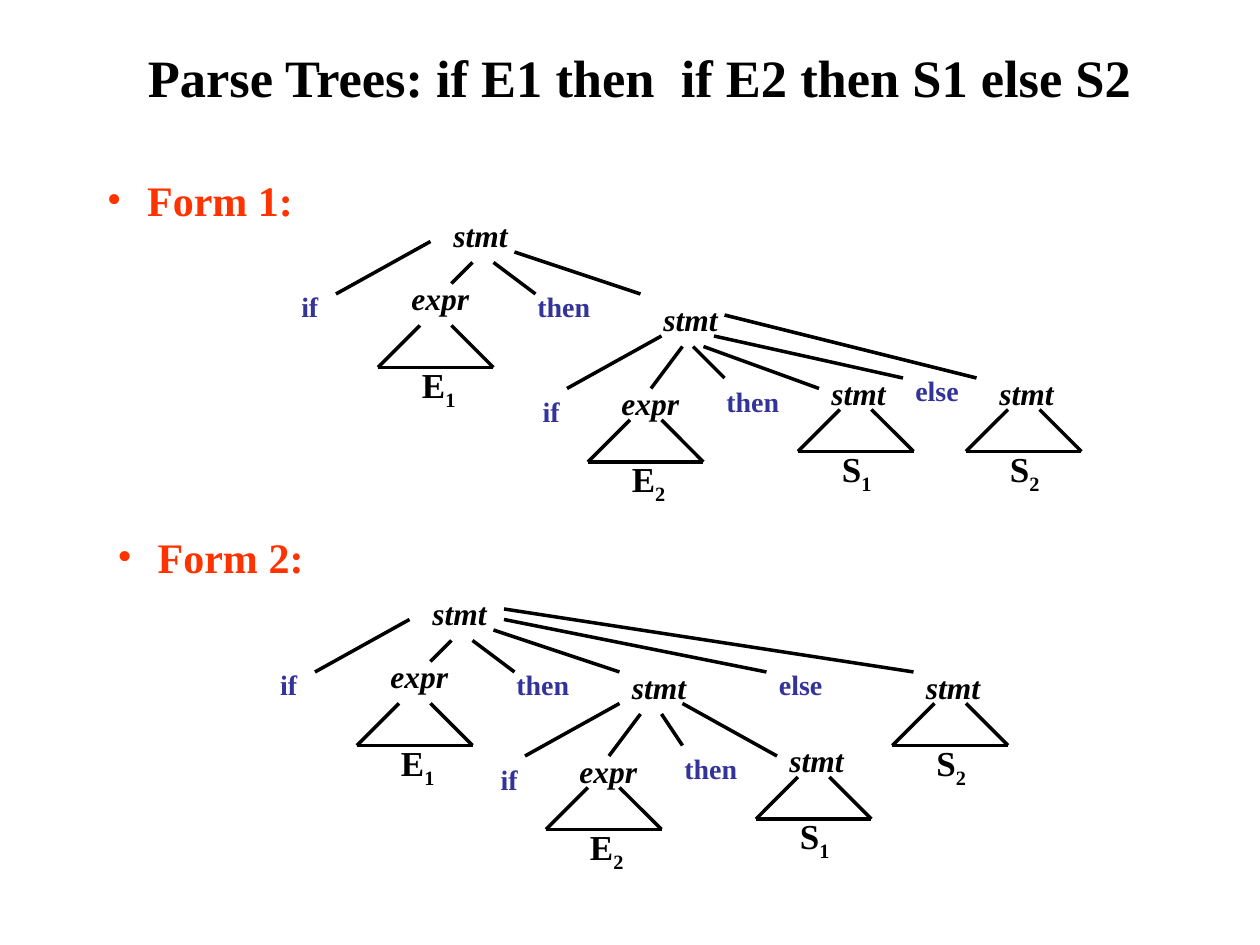
from lxml.etree import SubElement
from pptx import Presentation
from pptx.dml.color import RGBColor
from pptx.enum.shapes import MSO_CONNECTOR as Conn
from pptx.enum.text import MSO_ANCHOR as Anchor, PP_ALIGN as Align
from pptx.oxml.ns import qn
from pptx.util import Inches, Pt

BLACK = RGBColor(0x00, 0x00, 0x00)
BLUE = RGBColor(0x33, 0x33, 0x99)
RED = RGBColor(0xFF, 0x33, 0x00)
GRID = 12

NODE = {"size": Pt(18), "bold": True, "italic": True}
WORD = {"size": Pt(16), "bold": True}
LEAF = {"size": Pt(20), "bold": True}
HEAD = {"size": Pt(24), "bold": True}
TITLE = {"size": Pt(30), "bold": True}

KINDS = {
    "stmt": (NODE, BLACK, 0.4, Align.LEFT),
    "expr": (NODE, BLACK, 0.4, Align.LEFT),
    "if": (WORD, BLUE, 0.37, Align.CENTER),
    "then": (WORD, BLUE, 0.37, Align.LEFT),
    "else": (WORD, BLUE, 0.37, Align.LEFT),
}

TREES = [
    {
        "head": ("Form 1:", 9, 16),
        "words": {
            "stmt": [(42, 20), (62, 28), (78, 35), (94, 35)],
            "expr": [(38, 26), (58, 36)],
            "if": [(25, 27), (48, 37)],
            "then": [(50, 27), (68, 36)],
            "else": [(86, 35)],
        },
        "edges": [
            (41, 23, 32, 28), (45, 25, 43, 27), (47, 25, 51, 28),
            (49, 24, 61, 28), (63, 32, 54, 37), (65, 33, 62, 37),
            (66, 33, 69, 36), (67, 33, 78, 37), (68, 32, 86, 36),
            (69, 30, 93, 36),
        ],
        "cones": [("E1", 36, 35), ("E2", 56, 44), ("S1", 76, 43), ("S2", 92, 43)],
    },
    {
        "head": ("Form 2:", 10, 50),
        "words": {
            "stmt": [(40, 56), (59, 63), (87, 63), (74, 70)],
            "expr": [(36, 62), (54, 71)],
            "if": [(23, 63), (44, 72)],
            "then": [(48, 63), (64, 71)],
            "else": [(73, 63)],
        },
        "edges": [
            (39, 59, 30, 64), (43, 61, 41, 63), (45, 61, 49, 64),
            (47, 60, 59, 64), (48, 59, 73, 64), (48, 58, 87, 64),
            (59, 67, 50, 72), (61, 68, 58, 72), (63, 68, 65, 71),
            (65, 67, 74, 72),
        ],
        "cones": [("E1", 34, 71), ("E2", 52, 79), ("S1", 72, 78), ("S2", 85, 71)],
    },
]


def add_text(host, text, left, top, wide, high, look, color, align=Align.LEFT):
    box = host.add_textbox(Inches(left), Inches(top), Inches(wide), Inches(high))
    box.text_frame.word_wrap = True
    para = box.text_frame.paragraphs[0]
    para.alignment = align
    run = para.add_run()
    run.text = text
    run.font.name = "Times New Roman"
    run.font.color.rgb = color
    for key, value in look.items():
        setattr(run.font, key, value)
    return box


def add_edge(host, *ends):
    edge = host.add_connector(Conn.STRAIGHT, *[Inches(end / GRID) for end in ends])
    edge.line.color.rgb = BLACK
    edge.line.width = Pt(2)
    SubElement(edge.element.spPr, qn("a:effectLst"))


deck = Presentation()
deck.slide_width = Inches(10)
deck.slide_height = Inches(7.5)
slide = deck.slides.add_slide(deck.slide_layouts[6])

title = add_text(slide.shapes, "Parse Trees: if E1 then  if E2 then S1 else S2",
                 0.58, 0.36, 9, 0.5, TITLE, BLACK, Align.CENTER)
title.text_frame.vertical_anchor = Anchor.MIDDLE

for tree in TREES:
    text, left, top = tree["head"]
    head = add_text(slide.shapes, text, left / GRID, top / GRID, 2.25, 0.5, HEAD, RED)
    props = head.text_frame.paragraphs[0]._p.get_or_add_pPr()
    props.set("marL", str(Inches(0.32)))
    props.set("indent", str(-Inches(0.32)))
    SubElement(props, qn("a:buFont"), typeface="Times New Roman")
    SubElement(props, qn("a:buChar"), char="•")

    group = slide.shapes.add_group_shape().shapes
    for word, spots in tree["words"].items():
        look, color, high, align = KINDS[word]
        for left, top in spots:
            add_text(group, word, left / GRID, top / GRID, 0.75, high, look, color, align)

    for ends in tree["edges"]:
        add_edge(group, *ends)

    for name, left, base in tree["cones"]:
        add_edge(group, left + 4, base - 4, left, base)
        add_edge(group, left + 7, base - 4, left + 11, base)
        add_edge(group, left, base, left + 11, base)
        leaf = add_text(group, name[0], (left + 3) / GRID, (base - 1) / GRID,
                        0.5, 0.48, LEAF, BLACK)
        sub = leaf.text_frame.paragraphs[0].add_run()
        sub.text = name[1]
        sub.font.name = "Times New Roman"
        sub.font.color.rgb = BLACK
        for key, value in LEAF.items():
            setattr(sub.font, key, value)
        sub.font._element.set("baseline", "-25000")

deck.save("out.pptx")
